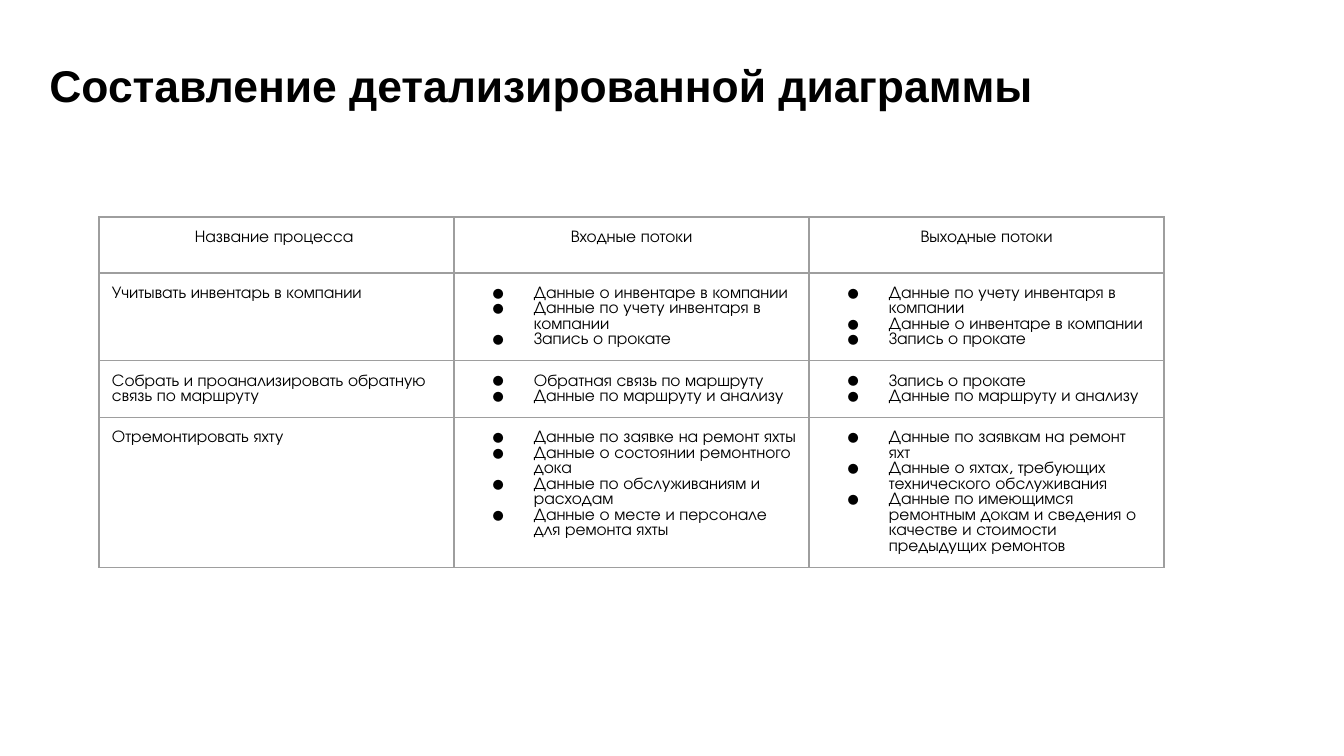
from lxml.etree import SubElement
from pptx import Presentation
from pptx.dml.color import RGBColor
from pptx.enum.text import MSO_ANCHOR, MSO_AUTO_SIZE, PP_ALIGN
from pptx.oxml.ns import qn
from pptx.util import Pt

EMU_PER_PX = 914400 / 134.4
BLACK = RGBColor(0x00, 0x00, 0x00)
GREY = RGBColor(0x9E, 0x9E, 0x9E)

HEADINGS = ["Название процесса ", "Входные потоки", "Выходные потоки"]
PROCESSES = [
    (
        "Учитывать инвентарь в компании",
        [
            "Данные о инвентаре в компании",
            "Данные по учету инвентаря в компании",
            "Запись о прокате",
        ],
        [
            "Данные по учету инвентаря в компании",
            "Данные о инвентаре в компании",
            "Запись о прокате",
        ],
    ),
    (
        "Собрать и проанализировать обратную связь по маршруту",
        ["Обратная связь по маршруту", "Данные по маршруту и анализу"],
        ["Запись о прокате", "Данные по маршруту и анализу"],
    ),
    (
        "Отремонтировать яхту",
        [
            "Данные по заявке на ремонт яхты",
            "Данные о состоянии ремонтного дока",
            "Данные по обслуживаниям и расходам",
            "Данные о месте и персонале для ремонта яхты",
        ],
        [
            "Данные по заявкам на ремонт яхт",
            "Данные о яхтах, требующих технического обслуживания",
            "Данные по имеющимся ремонтным докам и сведения о качестве "
            "и стоимости предыдущих ремонтов",
        ],
    ),
]


def px(length):
    return round(length * EMU_PER_PX)


class SlideBuilder:
    title_font = "Arial"
    table_font = "TeX Gyre Adventor"
    title_size = Pt(23.8)
    table_size = Pt(9)
    border_width = Pt(0.75)
    cell_margin = px(13)
    bullet_margin = px(67)
    bullet_indent = px(-42)

    def __init__(self, page):
        self.page = page

    def format_paragraph(self, paragraph, font, size, bold, align):
        paragraph.alignment = align
        paragraph.font.name = font
        paragraph.font.size = size
        paragraph.font.bold = bold
        paragraph.font.color.rgb = BLACK

    def title(self, text, left, top, width, height):
        box = self.page.shapes.title
        box.left, box.top, box.width, box.height = map(px, (left, top, width, height))
        frame = box.text_frame
        frame.text = text
        frame.auto_size = MSO_AUTO_SIZE.NONE
        frame.vertical_anchor = MSO_ANCHOR.MIDDLE
        self.format_paragraph(
            frame.paragraphs[0], self.title_font, self.title_size, True, PP_ALIGN.LEFT
        )

    def table(self, headings, rows, left, top, column_width, row_height):
        grid = [headings, *rows]
        table = self.page.shapes.add_table(
            len(grid),
            len(headings),
            px(left),
            px(top),
            px(column_width * len(headings)),
            px(row_height * len(grid)),
        ).table
        table.first_row = False
        table.horz_banding = False
        for row_index, row in enumerate(grid):
            align = PP_ALIGN.LEFT if row_index else PP_ALIGN.CENTER
            for column_index, content in enumerate(row):
                self.cell(table.cell(row_index, column_index), content, align)

    def cell(self, cell, content, align):
        bulleted = isinstance(content, list)
        cell.margin_left = cell.margin_right = self.cell_margin
        cell.margin_top = cell.margin_bottom = self.cell_margin
        self.borders(cell)
        cell.fill.background()
        cell.text = "\n".join(content) if bulleted else content
        for paragraph in cell.text_frame.paragraphs:
            self.format_paragraph(
                paragraph, self.table_font, self.table_size, False, align
            )
            if bulleted:
                self.bullet(paragraph)

    def borders(self, cell):
        properties = cell._tc.get_or_add_tcPr()
        for side in ("a:lnL", "a:lnR", "a:lnT", "a:lnB"):
            line = SubElement(properties, qn(side), w=str(self.border_width))
            fill = SubElement(line, qn("a:solidFill"))
            SubElement(fill, qn("a:srgbClr"), val=str(GREY))

    def bullet(self, paragraph):
        properties = paragraph._p.get_or_add_pPr()
        properties.set("marL", str(self.bullet_margin))
        properties.set("indent", str(self.bullet_indent))
        color = properties.makeelement(qn("a:buClr"))
        SubElement(color, qn("a:srgbClr"), val=str(BLACK))
        font = properties.makeelement(qn("a:buFont"), typeface=self.table_font)
        mark = properties.makeelement(qn("a:buChar"), char="●")
        for position, element in enumerate((color, font, mark)):
            properties.insert(position, element)


def main():
    deck = Presentation()
    deck.slide_width = px(1344)
    deck.slide_height = px(756)
    builder = SlideBuilder(deck.slides.add_slide(deck.slide_layouts[5]))
    builder.title("Составление детализированной диаграммы", 36, 46, 1035, 78)
    builder.table(HEADINGS, PROCESSES, 99, 217, 355, 56)
    deck.save("out.pptx")


if __name__ == "__main__":
    main()
